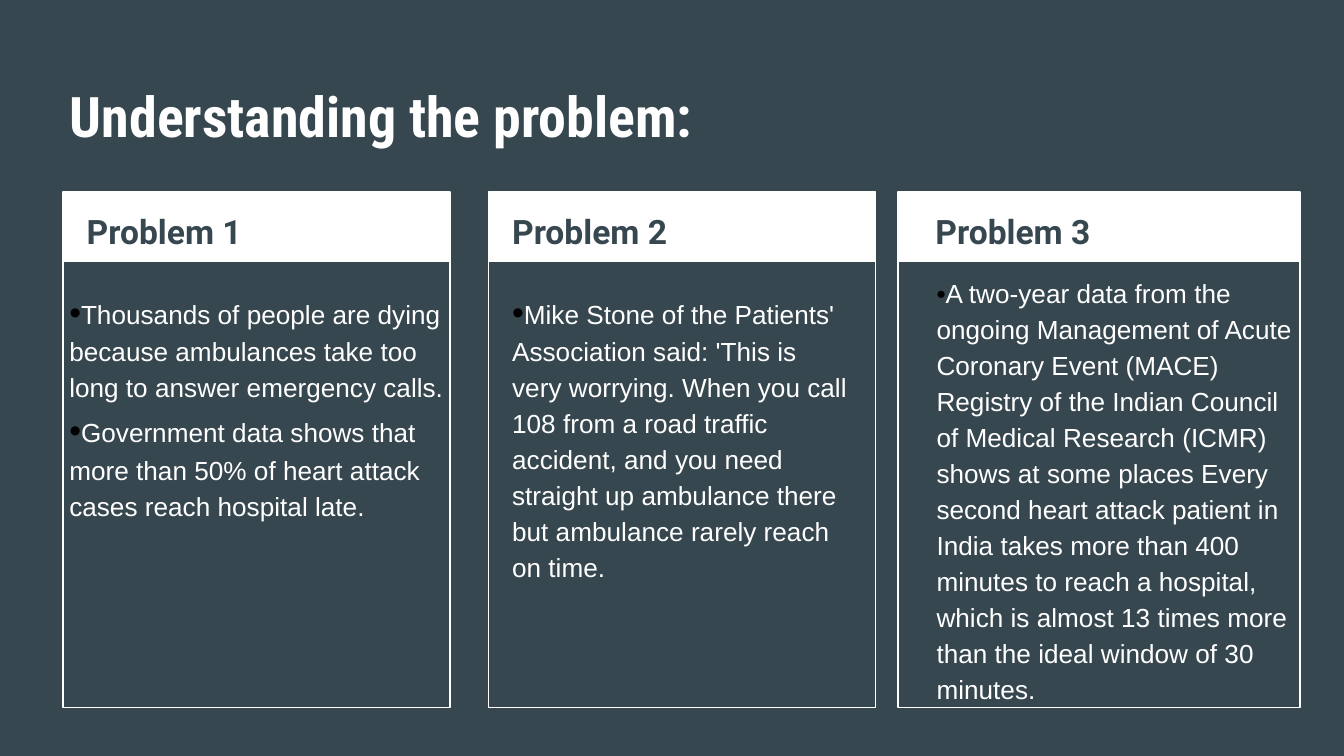
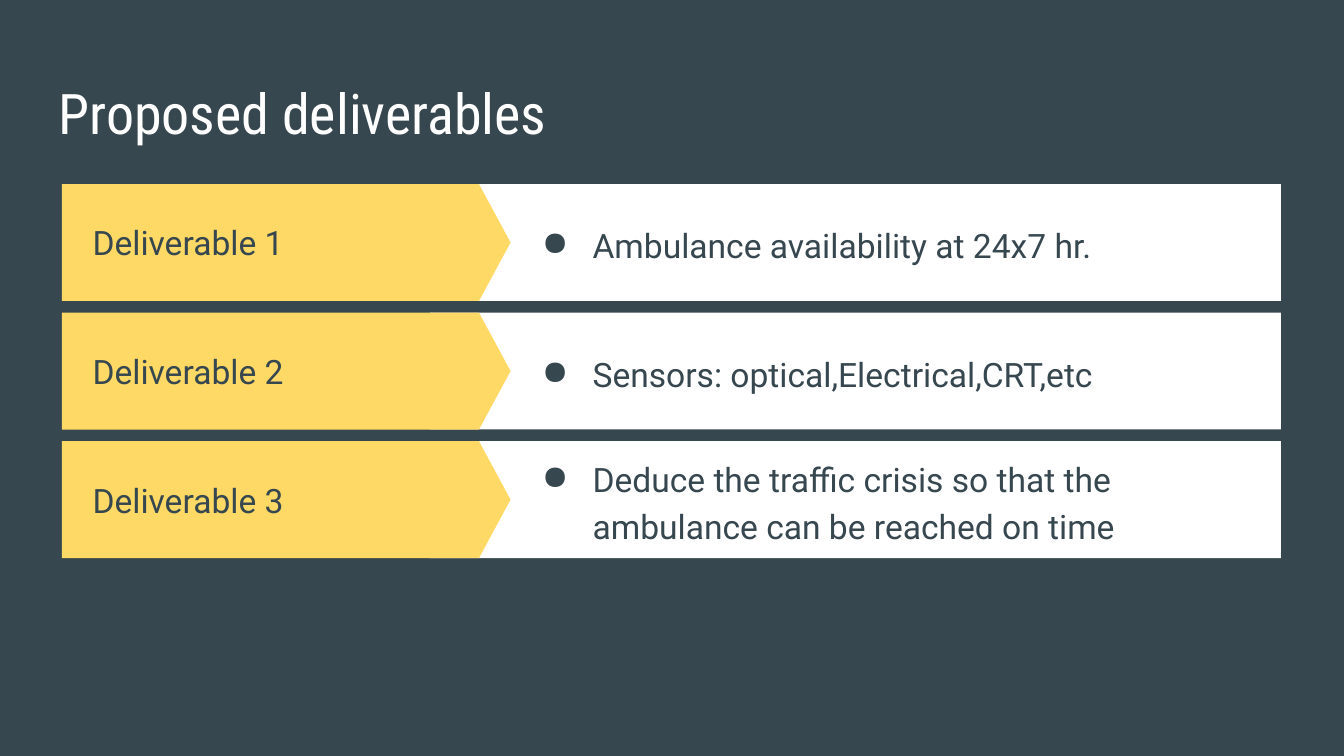
import dataclasses

import lxml.etree
import pptx
import pptx.dml.color
import pptx.enum.shapes
import pptx.enum.text
import pptx.oxml.ns
import pptx.util

Cm = pptx.util.Cm
Kind = pptx.enum.shapes.MSO_SHAPE
Anchor = pptx.enum.text.MSO_ANCHOR


@dataclasses.dataclass(frozen=True)
class Theme:
    slate: str = "37474F"
    white: str = "FFFFFF"
    black: str = "000000"
    yellow: str = "FFD966"
    title_font: str = "Roboto Condensed"
    head_font: str = "Roboto"
    body_font: str = "Arial"
    title_size: int = 30
    head_size: int = 18
    body_size: int = 14
    line: float = 0.75
    spacing: float = 1.15


@dataclasses.dataclass(frozen=True)
class Box:
    """A region in centimetres."""
    x: float
    y: float
    w: float
    h: float

    def inner(self, dx, dy, w, h):
        return Box(self.x + dx, self.y + dy, w, h)

    def place(self):
        return Cm(self.x), Cm(self.y), Cm(self.w), Cm(self.h)


THEME = Theme()


def tint(code):
    return pptx.dml.color.RGBColor.from_string(code)


def style(run, font, size, color, bold=False):
    run.font.name = font
    run.font.size = pptx.util.Pt(size)
    run.font.color.rgb = tint(color)
    run.font.bold = bold


def add_block(shapes, kind, box, fill=None, line=None):
    block = shapes.add_shape(kind, *box.place())
    block.shadow.inherit = False
    if fill:
        block.fill.solid()
        block.fill.fore_color.rgb = tint(fill)
    else:
        block.fill.background()
    if line:
        block.line.color.rgb = tint(line)
        block.line.width = pptx.util.Pt(THEME.line)
    else:
        block.line.fill.background()
    return block


def add_frame(slide, box, anchor=Anchor.TOP):
    frame = slide.shapes.add_textbox(*box.place()).text_frame
    frame.word_wrap = True
    frame.vertical_anchor = anchor
    frame.margin_left = frame.margin_right = Cm(0.25)
    frame.margin_top = frame.margin_bottom = Cm(0.25)
    return frame


def add_label(slide, box, text, color, font=THEME.head_font,
              size=THEME.head_size, bold=False, anchor=Anchor.TOP, spacing=None):
    frame = add_frame(slide, box, anchor)
    frame.text = text
    para = frame.paragraphs[0]
    para.line_spacing = spacing
    style(para.runs[0], font, size, color, bold)
    return para


def add_bullet(para, mark, color):
    props = para._p.get_or_add_pPr()
    props.set("marL", str(Cm(1.27)))
    props.set("indent", str(-Cm(0.96)))
    name = pptx.oxml.ns.qn
    shade = lxml.etree.SubElement(props, name("a:buClr"))
    lxml.etree.SubElement(shade, name("a:srgbClr"), val=color)
    lxml.etree.SubElement(props, name("a:buChar"), char=mark)


def add_slide(deck, title, box, bold=False):
    slide = deck.slides.add_slide(deck.slide_layouts[6])
    slide.background.fill.solid()
    slide.background.fill.fore_color.rgb = tint(THEME.slate)
    add_label(slide, box, title, THEME.white, THEME.title_font,
              THEME.title_size, bold)
    return slide


def add_card(slide, box, head, head_dx, body, points, dot_size):
    # Outline and header band
    group = slide.shapes.add_group_shape()
    add_block(group.shapes, Kind.RECTANGLE, box.inner(0, 0, box.w, 1.32), THEME.white)
    add_block(group.shapes, Kind.RECTANGLE, box, line=THEME.white)

    # Heading
    add_label(slide, box.inner(head_dx, 0, 6.93, 1.27), head, THEME.slate,
              bold=True, spacing=THEME.spacing)

    # Points, each opened by a dark dot
    frame = add_frame(slide, box.inner(*body))
    for i, point in enumerate(points):
        para = frame.add_paragraph() if i else frame.paragraphs[0]
        para.line_spacing = THEME.spacing
        for text, size, color in (("•", dot_size, THEME.black),
                                  (point, THEME.body_size, THEME.white)):
            run = para.add_run()
            run.text = text
            style(run, THEME.body_font, size, color)


def add_row(slide, box, head, point):
    # White bar under a yellow arrow
    group = slide.shapes.add_group_shape()
    add_block(group.shapes, Kind.RECTANGLE, box.inner(6.96, 0, box.w - 6.96, box.h),
              THEME.white)
    arrow = add_block(group.shapes, Kind.PENTAGON, box.inner(0, 0, 8.48, box.h),
                      THEME.yellow)
    arrow.adjustments[0] = 0.27

    # Heading and point
    add_label(slide, box.inner(0.33, 0, 6.73, box.h), head, THEME.slate,
              anchor=Anchor.MIDDLE)
    para = add_label(slide, box.inner(8.51, 0, 14.2, box.h), point, THEME.slate,
                     anchor=Anchor.MIDDLE, spacing=THEME.spacing)
    add_bullet(para, "●", THEME.slate)


def add_problems(deck):
    slide = add_slide(deck, "Understanding the problem:",
                      Box(1.07, 1.3, 23.67, 1.6), bold=True)
    # Left, width, heading inset, body region, dot size, points
    cards = [
        (1.19, 7.32, 0.2, (-0.13, 1.5, 8.03, 7.77), THEME.head_size,
         ["Thousands of people are dying because ambulances take too long "
          "to answer emergency calls.",
          "Government data shows that more than 50% of heart attack cases "
          "reach hospital late."]),
        (9.23, 7.32, 0.2, (0.2, 1.5, 6.88, 7.77), THEME.head_size,
         ["Mike Stone of the Patients' Association said: 'This is very worrying. "
          "When you call 108 from a road traffic accident, and you need straight "
          "up ambulance there but ambulance rarely reach on time."]),
        (16.97, 7.6, 0.46, (0.48, 1.27, 7.32, 8.46), THEME.body_size,
         ["A two-year data from the ongoing Management of Acute Coronary Event "
          "(MACE) Registry of the Indian Council of Medical Research (ICMR) shows "
          "at some places Every second heart attack patient in India takes more "
          "than 400 minutes to reach a hospital, which is almost 13 times more "
          "than the ideal window of 30 minutes."]),
    ]
    for i, (left, width, head_dx, body, dot_size, points) in enumerate(cards, 1):
        add_card(slide, Box(left, 3.63, width, 9.75), f"Problem {i}", head_dx,
                 body, points, dot_size)


def add_goals(deck):
    slide = add_slide(deck, "Proposed deliverables", Box(0.86, 1.24, 23.67, 1.6))
    goals = [
        "Ambulance availability at 24x7 hr.",
        "Sensors: optical,Electrical,CRT,etc",
        "Deduce the traffic crisis so that the ambulance can be reached on time",
    ]
    for i, goal in enumerate(goals):
        add_row(slide, Box(1.17, 3.48 + 2.43 * i, 23.04, 2.21),
                f"Deliverable {i + 1}", goal)


def main():
    deck = pptx.Presentation()
    deck.slide_width, deck.slide_height = Cm(25.4), Cm(14.29)
    add_problems(deck)
    add_goals(deck)
    deck.save("out.pptx")


if __name__ == "__main__":
    main()
